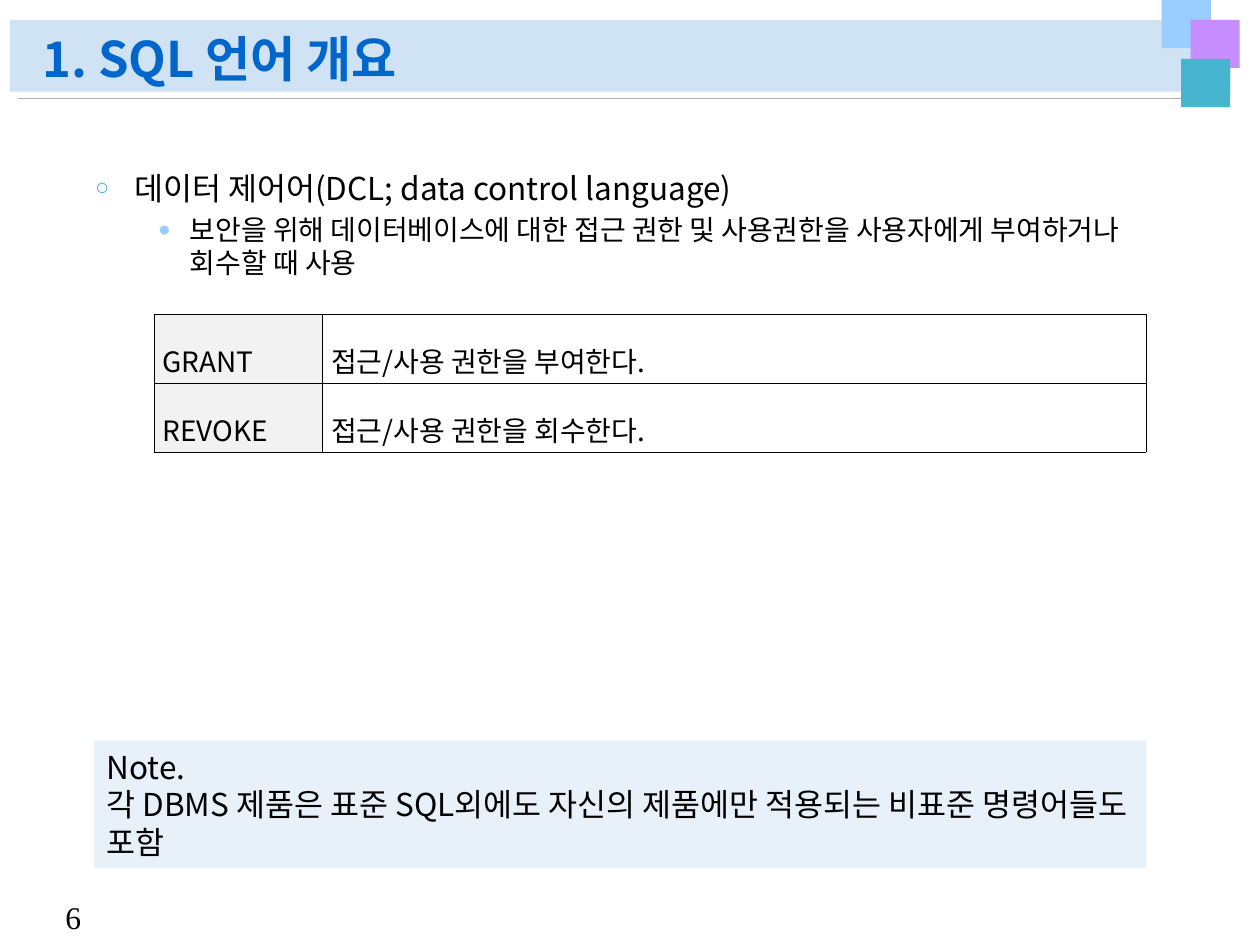
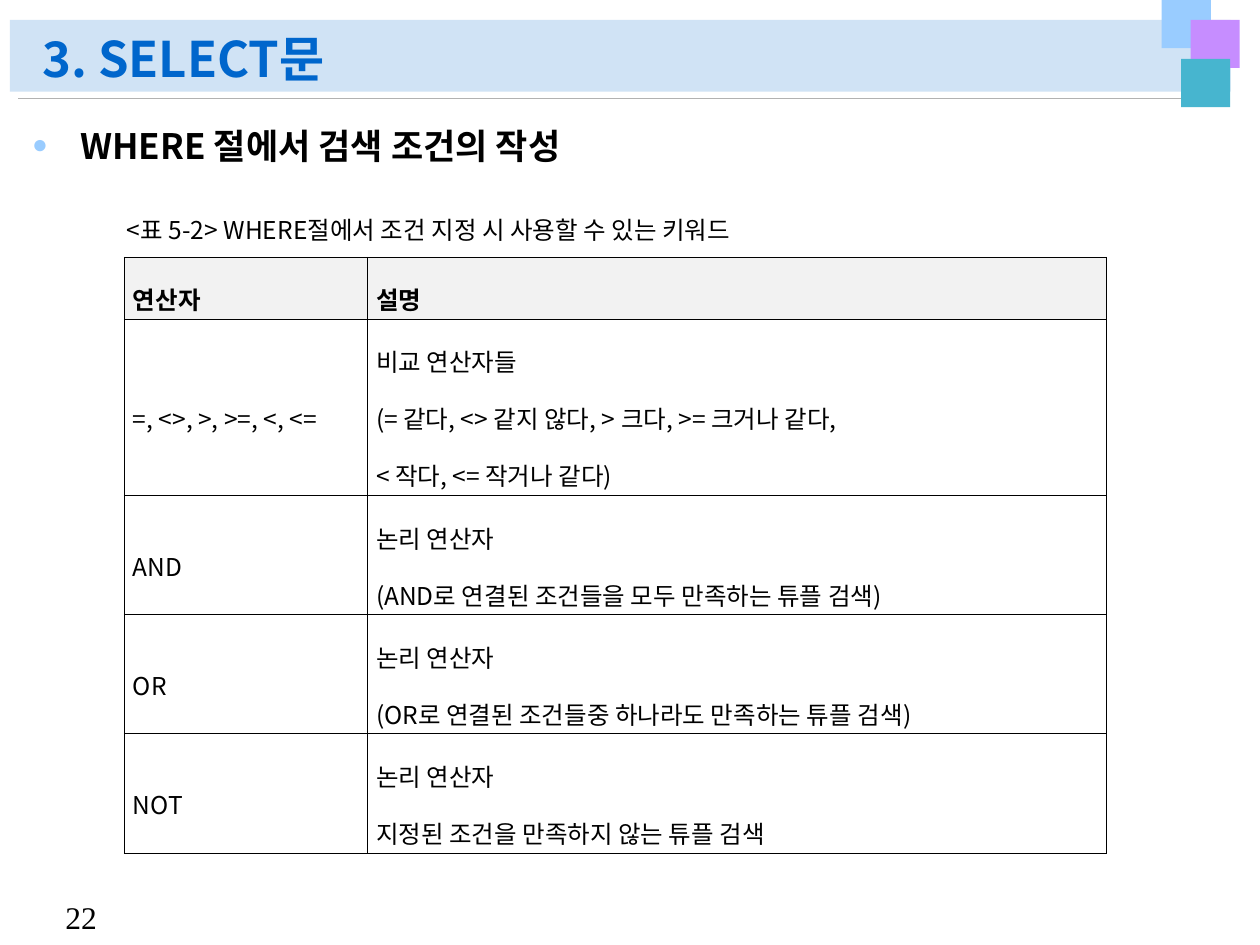
from dataclasses import dataclass

from pptx import Presentation
from pptx.dml.color import RGBColor
from pptx.enum.shapes import MSO_CONNECTOR, MSO_SHAPE
from pptx.enum.text import MSO_ANCHOR, PP_ALIGN
from pptx.oxml import parse_xml
from pptx.oxml.ns import nsdecls, qn
from pptx.util import Cm, Pt

RECT, LINE = MSO_SHAPE.RECTANGLE, MSO_CONNECTOR.STRAIGHT
BOTTOM, MIDDLE = MSO_ANCHOR.BOTTOM, MSO_ANCHOR.MIDDLE
LEFT, JUSTIFY = PP_ALIGN.LEFT, PP_ALIGN.JUSTIFY

FONT, SERIF = "Noto Sans CJK KR", "Times New Roman"
BLACK, TITLE_BLUE, BAND_BLUE = "000000", "0066CC", "D0E3F5"
SKY, VIOLET, TEAL = "99CCFF", "C68DFF", "47B5CF"
RULE_GRAY, CELL_GRAY, NOTE_BLUE = "B2B2B2", "F2F2F2", "E8F1FA"
LINE_HEIGHT = 1.2  # line pitch of running text, in ems


@dataclass
class Box:
    """Place and size in centimetres."""
    x: float
    y: float
    w: float
    h: float

    def emu(self) -> tuple:
        return Cm(self.x), Cm(self.y), Cm(self.w), Cm(self.h)


@dataclass
class Bullet:
    char: str
    color: str
    margin: float
    hanging: float


@dataclass
class Item:
    text: str
    size: float
    bullet: Bullet
    bold: bool = False


@dataclass
class Grid:
    x: float
    y: float
    cols: list
    rows: list
    size: float
    cells: list
    header_row: bool = False
    header_col: bool = False


SQUARES = [(Box(23.42, 0, 0.99, 0.97), SKY),
           (Box(24, 0.4, 0.99, 0.97), VIOLET),
           (Box(23.81, 1.19, 0.99, 0.97), TEAL)]
HEADING = Bullet("●", SKY, 0.97, 0.97)
TOPIC = Bullet("○", TEAL, 2.06, 0.79)
DETAIL = Bullet("●", SKY, 3.18, 0.64)


def rgb(color: str) -> RGBColor:
    return RGBColor.from_string(color)


def write(p, text: str, size: float, color: str = BLACK, font: str = FONT,
          bold: bool = False, align=LEFT, spacing=None) -> None:
    """Fill a paragraph with one formatted run."""
    p.alignment = align
    p.line_spacing = spacing or Pt(size * LINE_HEIGHT)
    r = p.add_run()
    r.text = text
    for name, value in {"name": font, "size": Pt(size), "bold": bold}.items():
        setattr(r.font, name, value)
    r.font.color.rgb = rgb(color)
    r.font._element.find(qn("a:latin")).addnext(
        parse_xml(f'<a:ea {nsdecls("a")} typeface="{font}"/>'))


def paragraph(tf, index: int):
    return tf.add_paragraph() if index else tf.paragraphs[0]


def add_rect(s, box: Box, color: str):
    sp = s.shapes.add_shape(RECT, *box.emu())
    sp.shadow.inherit = False
    sp.fill.solid()
    sp.fill.fore_color.rgb = rgb(color)
    sp.line.fill.background()
    return sp


def add_text(s, box: Box, wrap: bool = True):
    tf = s.shapes.add_textbox(*box.emu()).text_frame
    tf.word_wrap = wrap
    return tf


def add_slide(prs, title: str, number: int):
    """Start a slide with the shared band, rule, squares, number and title."""
    s = prs.slides.add_slide(prs.slide_layouts[5])
    add_rect(s, Box(0.2, 0.4, 24.61, 1.45), BAND_BLUE)
    rule = s.shapes.add_connector(LINE, Cm(24.74), Cm(1.98), Cm(0.36), Cm(1.98))
    rule.line.color.rgb = rgb(RULE_GRAY)
    rule.line.width = Pt(0.5)
    rule._element.spPr.append(parse_xml(f'<a:effectLst {nsdecls("a")}/>'))
    for box, color in SQUARES:
        add_rect(s, box, color)
    tf = add_text(s, Box(1.07, 17.98, 1.27, 1.02), wrap=False)
    write(tf.paragraphs[0], str(number), 18, font=SERIF, spacing=1.0)

    # The title goes in front of the band
    sp = s.shapes.title
    s.shapes._spTree.append(sp._element)
    sp.left, sp.top, sp.width, sp.height = Box(0.6, 0.43, 22.81, 1.47).emu()
    tf = sp.text_frame
    tf.word_wrap = True
    tf.vertical_anchor = BOTTOM
    write(tf.paragraphs[0], title, 28, TITLE_BLUE, bold=True, spacing=0.9)
    return s


def add_bullets(s, box: Box, items: list) -> None:
    tf = add_text(s, box)
    for i, item in enumerate(items):
        p = paragraph(tf, i)
        write(p, item.text, item.size, bold=item.bold)
        if i:
            p.space_before = Pt(item.size * 0.2)
        b, pPr = item.bullet, p._p.get_or_add_pPr()
        pPr.set("marL", str(Cm(b.margin)))
        pPr.set("indent", str(-Cm(b.hanging)))
        for xml in (f'<a:buClr {nsdecls("a")}><a:srgbClr val="{b.color}"/></a:buClr>',
                    f'<a:buSzPct {nsdecls("a")} val="75000"/>',
                    f'<a:buFont {nsdecls("a")} typeface="{SERIF}"/>',
                    f'<a:buChar {nsdecls("a")} char="{b.char}"/>'):
            pPr.append(parse_xml(xml))


def format_cell(cell, text: str, size: float, header: bool, bold: bool) -> None:
    margins = {"margin_left": 0.18, "margin_right": 0.18,
               "margin_top": 0.05, "margin_bottom": 0.05}
    for name, value in margins.items():
        setattr(cell, name, Cm(value))
    cell.vertical_anchor = MIDDLE
    for i, line in enumerate(text.split("\n")):
        write(paragraph(cell.text_frame, i), line, size, bold=bold,
              align=JUSTIFY, spacing=1.6)
    tcPr = cell._tc.get_or_add_tcPr()
    for side in "LRTB":
        tcPr.append(parse_xml(
            f'<a:ln{side} {nsdecls("a")} w="{Pt(0.28)}"><a:solidFill>'
            f'<a:srgbClr val="{BLACK}"/></a:solidFill></a:ln{side}>'))
    if header:
        cell.fill.solid()
        cell.fill.fore_color.rgb = rgb(CELL_GRAY)
    else:
        cell.fill.background()


def add_grid(s, grid: Grid) -> None:
    box = Box(grid.x, grid.y, sum(grid.cols), sum(grid.rows))
    table = s.shapes.add_table(len(grid.rows), len(grid.cols), *box.emu()).table
    table.first_row = grid.header_row
    table.horz_banding = False
    for column, width in zip(table.columns, grid.cols):
        column.width = Cm(width)
    for r, (row, height) in enumerate(zip(table.rows, grid.rows)):
        row.height = Cm(height)
        for c, text in enumerate(grid.cells[r]):
            top = grid.header_row and r == 0
            side = grid.header_col and c == 0
            format_cell(table.cell(r, c), text, grid.size, top or side, top)


def dcl_slide(prs) -> None:
    s = add_slide(prs, "1. SQL 언어 개요", 6)
    add_bullets(s, Box(0.4, 3.28, 22.9, 2.6), [
        Item("데이터 제어어(DCL; data control language)", 18, TOPIC),
        Item("보안을 위해 데이터베이스에 대한 접근 권한 및 사용권한을 "
             "사용자에게 부여하거나 회수할 때 사용", 16, DETAIL)])
    add_grid(s, Grid(3.1, 6.33, [3.4, 16.6], [1.39] * 2, 16, [
        ("GRANT", "접근/사용 권한을 부여한다."),
        ("REVOKE", "접근/사용 권한을 회수한다.")], header_col=True))

    # Note box
    tf = add_rect(s, Box(1.9, 14.93, 21.21, 2.57), NOTE_BLUE).text_frame
    tf.word_wrap = True
    tf.vertical_anchor = MIDDLE
    tf.margin_top = tf.margin_bottom = Cm(0.05)
    for i, line in enumerate([
            "Note.",
            "각 DBMS 제품은 표준 SQL외에도 자신의 제품에만 적용되는 비표준 "
            "명령어들도 포함"]):
        write(paragraph(tf, i), line, 18)


def where_slide(prs) -> None:
    s = add_slide(prs, "3. SELECT문", 22)
    add_bullets(s, Box(0.4, 2.38, 22.9, 1.2), [
        Item("WHERE 절에서 검색 조건의 작성", 20, HEADING, bold=True)])
    add_grid(s, Grid(2.5, 5.18, [4.9, 14.91], [1.25, 3.56] + [2.4] * 3, 14, [
        ("연산자", "설명"),
        ("=, <>, >, >=, <, <=",
         "비교 연산자들\n(= 같다, <> 같지 않다, > 크다, >= 크거나 같다,\n"
         "< 작다, <= 작거나 같다)"),
        ("AND", "논리 연산자\n(AND로 연결된 조건들을 모두 만족하는 튜플 검색)"),
        ("OR", "논리 연산자\n(OR로 연결된 조건들중 하나라도 만족하는 튜플 검색)"),
        ("NOT", "논리 연산자\n지정된 조건을 만족하지 않는 튜플 검색")],
        header_row=True))

    # Table caption, clear of the table's top border
    tf = add_text(s, Box(2.31, 4.2, 16.8, 0.9))
    write(tf.paragraphs[0], "<표 5-2> WHERE절에서 조건 지정 시 사용할 수 있는 키워드",
          14, align=JUSTIFY)


def main() -> None:
    prs = Presentation()
    prs.slide_width, prs.slide_height = Cm(25.4), Cm(19.05)
    dcl_slide(prs)
    where_slide(prs)
    prs.save("out.pptx")


main()
